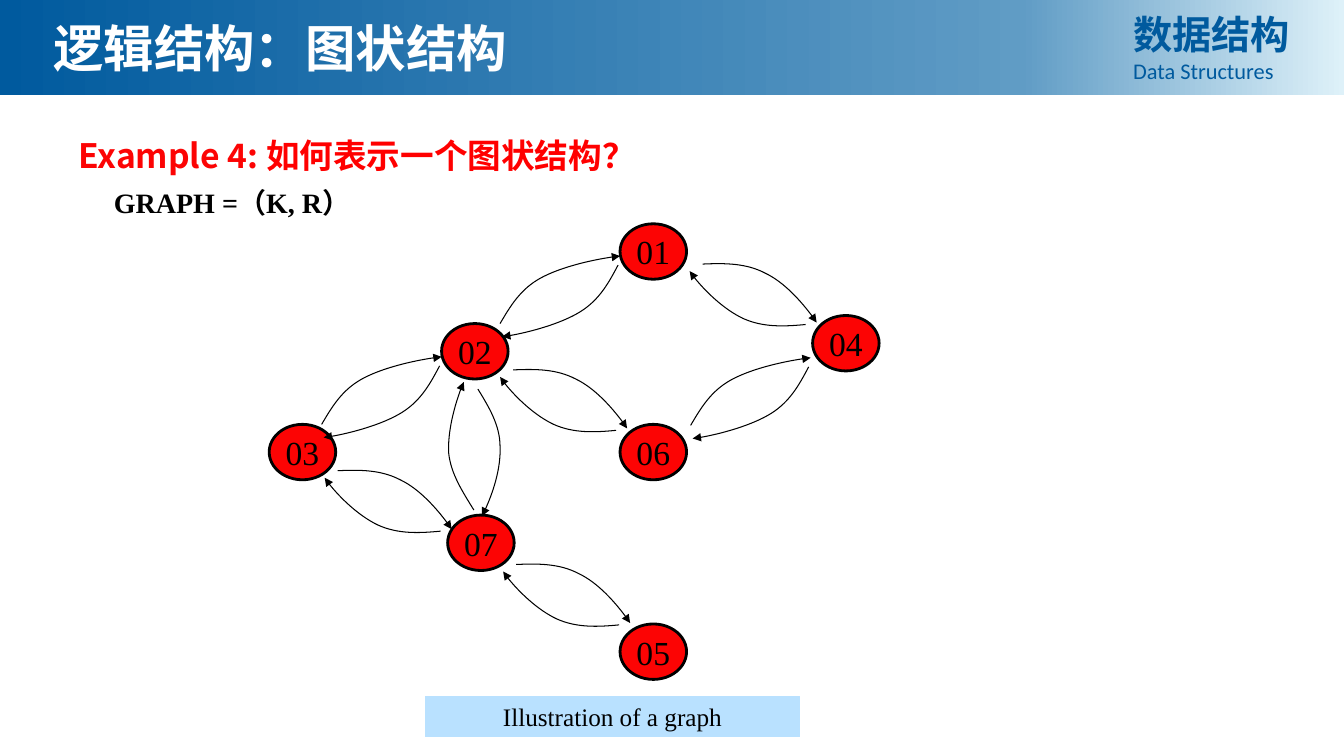
from copy import deepcopy
from dataclasses import dataclass

from lxml import etree
from pptx import Presentation
from pptx import util as u
from pptx.dml.color import RGBColor
from pptx.enum import shapes, text
from pptx.oxml import ns

PX = 9144


@dataclass(frozen=True)
class Theme:
    """Colours, fonts and type sizes of the deck."""
    navy: str = "005A9E"
    sky: str = "609CC5"
    mist: str = "DEF1F9"
    pale: str = "B9E1FF"
    red: str = "FC0404"
    pure_red: str = "FF0000"
    black: str = "000000"
    white: str = "FFFFFF"
    serif: str = "Times New Roman"
    sans: str = "Calibri"
    chinese: str = "Noto Sans CJK SC"
    title: int = 36
    brand: int = 28
    heading: int = 24
    formula: int = 20
    caption: int = 18
    subtitle: int = 16


THEME = Theme()
NODE_SIZE = (66, 55)
NODES = {"01": (615, 222), "02": (438, 321), "03": (267, 421), "04": (806, 313),
         "07": (444, 511), "05": (615, 619), "06": (615, 421)}
RISE = [(10, -17), (20, -34), (40, -45), (60, -56), (99, -65), (119, -67)]
FALL = [(-9, 17), (-18, 34), (-37, 46), (-56, 58), (-96, 69), (-115, 71)]
OUT = [(22, -1), (43, -1), (62, 9), (81, 18), (104, 44), (113, 58)]
BACK = [(-21, 2), (-42, 3), (-62, -6), (-81, -15), (-106, -39), (-115, -53)]
DOWN = [(11, 18), (22, 36), (22, 57), (23, 79), (12, 112), (4, 126)]
UP = [(-11, -18), (-23, -36), (-25, -57), (-26, -78), (-17, -112), (-10, -127)]
LINKS = [
    (RISE, FALL, (117, -58), [(319, 421), (496, 321), (685, 422)]),
    (OUT, BACK, (102, 60), [(335, 467), (512, 560), (509, 367), (697, 262)]),
    (DOWN, UP, (-4, 120), [(474, 386)]),
]


def px(*lengths):
    """Turn px lengths into EMU."""
    return [u.Emu(length * PX) for length in lengths]


def style(span, size, color, name, bold=False):
    """Format one run, Chinese glyphs included."""
    span.font.size = u.Pt(size)
    span.font.bold = bold
    span.font.color.rgb = RGBColor.from_string(color)
    span.font.name = name
    east = etree.SubElement(span.font._element, ns.qn("a:ea"))
    east.set("typeface", THEME.chinese)


def add_text_box(page, box):
    """Add a wrapping text box and return its frame."""
    frame = page.shapes.add_textbox(*px(*box)).text_frame
    frame.word_wrap = True
    return frame


def add_flat_shape(page, kind, box, fill, line=None, weight=0.75):
    """Add a shadowless preset shape."""
    shape = page.shapes.add_shape(kind, *px(*box))
    shape.shadow.inherit = False
    shape.fill.solid()
    shape.fill.fore_color.rgb = RGBColor.from_string(fill)
    if line:
        shape.line.color.rgb = RGBColor.from_string(line)
        shape.line.width = u.Pt(weight)
    else:
        shape.line.fill.background()
    return shape


def add_label(shape, words, size):
    """Write centred black text in a shape."""
    shape.text_frame.text = words
    para = shape.text_frame.paragraphs[0]
    para.alignment = text.PP_ALIGN.CENTER
    style(para.runs[0], size, THEME.black, THEME.serif)


def add_header(page, box):
    """Draw the gradient banner with title and course name."""
    left, top, width, height = box
    banner = add_flat_shape(page, shapes.MSO_SHAPE.RECTANGLE, box, THEME.navy)
    banner.fill.gradient()
    banner.fill.gradient_angle = 0
    stop_list = next(banner._element.spPr.iter(ns.qn("a:gsLst")))
    stop_list.append(deepcopy(stop_list[-1]))
    colors = [(0, THEME.navy), (0.76, THEME.sky), (1, THEME.mist)]
    for stop, (position, color) in zip(banner.fill.gradient_stops, colors):
        stop.position = position
        stop.color.rgb = RGBColor.from_string(color)

    course = add_text_box(page, (left + width - 219, top + 5, 191, height - 10))
    course.text = "数据结构\nData Structures"
    fonts = [(THEME.brand, THEME.chinese, True), (THEME.subtitle, THEME.sans, False)]
    for para, (size, name, bold) in zip(course.paragraphs, fonts):
        para.alignment = text.PP_ALIGN.JUSTIFY
        style(para.runs[0], size, THEME.navy, name, bold)

    title = add_text_box(page, (left + 43, top + 12, 844, 71))
    title.text = "逻辑结构：图状结构"
    style(title.paragraphs[0].runs[0], THEME.title, THEME.white, THEME.serif, True)


def add_question(page, box):
    """Write the example heading and the graph formula."""
    frame = add_text_box(page, box)
    frame.text = "Example 4: \nGRAPH =（K, R）"
    heading, formula = frame.paragraphs
    heading.line_spacing = formula.line_spacing = 0.9
    formula.space_before = u.Pt(10)
    formula._p.get_or_add_pPr().set("marL", str(35 * PX))
    question = heading.add_run()
    question.text = "如何表示一个图状结构？"
    style(heading.runs[0], THEME.heading, THEME.red, THEME.chinese, True)
    style(question, THEME.heading, THEME.pure_red, THEME.chinese, True)
    style(formula.runs[0], THEME.formula, THEME.black, THEME.serif, True)


def add_curved_arrow(page, start, offsets):
    """Draw two joined Bézier arcs ending in an arrowhead."""
    x, y = start
    builder = page.shapes.build_freeform(x, y, scale=PX)
    builder.add_line_segments([(x + dx, y + dy) for dx, dy in offsets], close=False)
    arrow = builder.convert_to_shape()
    arrow.shadow.inherit = False
    arrow.fill.background()
    arrow.line.color.rgb = RGBColor.from_string(THEME.black)
    arrow.line.width = u.Pt(0.75)
    properties = arrow._element.spPr
    head = etree.SubElement(properties.find(ns.qn("a:ln")), ns.qn("a:tailEnd"))
    head.set("type", "triangle")
    segments = list(properties.iter(ns.qn("a:lnTo")))
    outline = segments[0].getparent()
    for first in range(0, len(segments), 3):
        curve = etree.SubElement(outline, ns.qn("a:cubicBezTo"))
        for segment in segments[first:first + 3]:
            curve.append(segment[0])
            outline.remove(segment)


def add_graph(page, origin):
    """Draw the numbered nodes and their paired arrows."""
    left, top = origin
    for name, (x, y) in NODES.items():
        node = add_flat_shape(page, shapes.MSO_SHAPE.FLOWCHART_CONNECTOR,
                              (left + x, top + y, *NODE_SIZE), THEME.red, THEME.black, 2)
        add_label(node, name, THEME.heading)
        node.text_frame.word_wrap = False
        node.text_frame.vertical_anchor = text.MSO_ANCHOR.MIDDLE
    for there, back, (dx, dy), starts in LINKS:
        for x, y in starts:
            add_curved_arrow(page, (left + x, top + y), there)
            add_curved_arrow(page, (left + x + dx, top + y + dy), back)


def add_caption(page, box):
    """Draw the caption bar under the graph."""
    bar = add_flat_shape(page, shapes.MSO_SHAPE.RECTANGLE, box, THEME.pale, THEME.pale)
    add_label(bar, "Illustration of a graph", THEME.caption)


def main():
    """Build and save the slide."""
    deck = Presentation()
    deck.slide_width, deck.slide_height = px(1333, 750)
    page = deck.slides.add_slide(deck.slide_layouts[6])
    add_header(page, (0, 0, 1333, 94))
    add_question(page, (68, 133, 1088, 547))
    add_graph(page, (0, 0))
    add_caption(page, (422, 691, 371, 40))
    deck.save("out.pptx")


if __name__ == "__main__":
    main()
